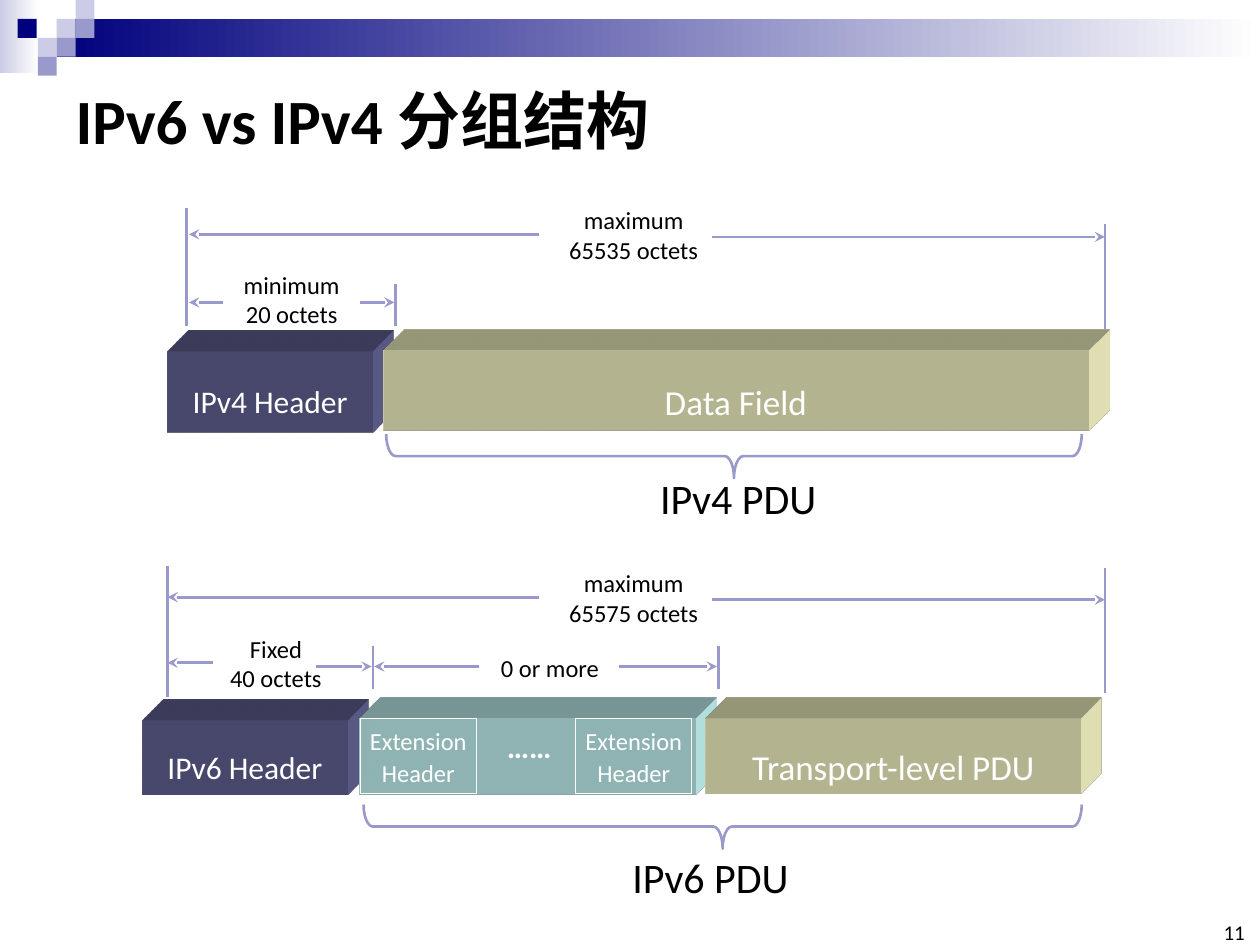
from lxml.etree import SubElement
from pptx import Presentation
from pptx.dml.color import RGBColor
from pptx.enum.shapes import MSO_CONNECTOR as Connector, MSO_SHAPE as Shape
from pptx.enum.text import MSO_ANCHOR as Anchor, MSO_AUTO_SIZE as AutoSize, PP_ALIGN as Align
from pptx.oxml import parse_xml
from pptx.oxml.ns import nsdecls, qn
from pptx.util import Inches, Pt

COLUMNS, ROWS = 100, 75
INK, WHITE, NAVY, MIST, LILAC = "000000", "FFFFFF", "00007D", "CCCCE6", "9999CC"
HEADER, PAYLOAD, EXTENSION = "666699", "FFFFCC", "CCFFFF"


def hex_color(value):
    return RGBColor.from_string(value)


def write(box, text, size=14, color=INK, bold=False, align=Align.CENTER,
          anchor=Anchor.TOP, spacing=None, wrap=False, insets=(0.1, 0.05)):
    """Fill a box with one paragraph per line of text."""
    frame = box.text_frame
    frame.auto_size = AutoSize.NONE
    frame.word_wrap = wrap
    frame.vertical_anchor = anchor
    frame.margin_left = frame.margin_right = Inches(insets[0])
    frame.margin_top = frame.margin_bottom = Inches(insets[1])
    for index, line in enumerate(text.split("\n")):
        para = frame.paragraphs[0] if index == 0 else frame.add_paragraph()
        para.alignment = align
        para.space_before = Pt(0)
        if spacing:
            para.line_spacing = spacing
        span = para.add_run()
        span.text = line
        span.font.name = "Calibri"
        span.font.size = Pt(size)
        span.font.bold = bold
        span.font.color.rgb = hex_color(color)


class Painter:
    """Draws on the current page in grid columns and rows."""

    def __init__(self, deck, line_color=LILAC, line_width=1.5):
        self.page = deck.slides.add_slide(deck.slide_layouts[5])
        self.cell_width = deck.slide_width / COLUMNS
        self.cell_height = deck.slide_height / ROWS
        self.line_color = line_color
        self.line_width = line_width

    def place(self, left, top, width, height):
        return (round(left * self.cell_width), round(top * self.cell_height),
                round(width * self.cell_width), round(height * self.cell_height))

    def title(self, text, *area):
        box = self.page.shapes.title
        box.left, box.top, box.width, box.height = self.place(*area)
        write(box, text, size=36, bold=True, align=Align.LEFT, anchor=Anchor.MIDDLE, wrap=True)

    def shape(self, kind, area, fill=None, line=None, width=0.75):
        box = self.page.shapes.add_shape(kind, *self.place(*area))
        box.shadow.inherit = False
        if fill:
            box.fill.solid()
            box.fill.fore_color.rgb = hex_color(fill)
        else:
            box.fill.background()
        if line:
            box.line.color.rgb = hex_color(line)
            box.line.width = Pt(width)
        else:
            box.line.fill.background()
        return box

    def fade(self, area, start):
        """Rectangle that fades from a colour to white, left to right."""
        fill = self.shape(Shape.RECTANGLE, area).fill
        fill.gradient()
        fill.gradient_angle = 0
        for stop, position, color in zip(fill.gradient_stops, (0, 1), (start, WHITE)):
            stop.position = position
            stop.color.rgb = hex_color(color)

    def block(self, area, fill, text=None, size=18):
        """Rectangle extruded to the upper right."""
        box = self.shape(Shape.RECTANGLE, area, fill)
        properties = box._element.spPr
        properties.append(parse_xml(
            f'<a:scene3d {nsdecls("a")}><a:camera prst="legacyObliqueTopRight"/>'
            '<a:lightRig rig="legacyFlat3" dir="b"/></a:scene3d>'))
        properties.append(parse_xml(
            f'<a:sp3d {nsdecls("a")} extrusionH="430200" prstMaterial="legacyMatte">'
            '<a:bevelT w="13500" h="13500" prst="angle"/><a:bevelB w="13500" h="13500" prst="angle"/>'
            f'<a:extrusionClr><a:srgbClr val="{fill}"/></a:extrusionClr></a:sp3d>'))
        if text:
            write(box, text, size=size, color=WHITE, anchor=Anchor.MIDDLE, spacing=1.5)

    def label(self, text, *area, **style):
        write(self.page.shapes.add_textbox(*self.place(*area)), text, **style)

    def line(self, x1, y1, x2, y2, arrow=False):
        start_x, start_y, end_x, end_y = self.place(x1, y1, x2, y2)
        link = self.page.shapes.add_connector(Connector.STRAIGHT, start_x, start_y, end_x, end_y)
        link.line.color.rgb = hex_color(self.line_color)
        link.line.width = Pt(self.line_width)
        if arrow:
            SubElement(link.line._get_or_add_ln(), qn("a:tailEnd"), type="stealth")
        SubElement(link._element.spPr, qn("a:effectLst"))

    def dimension(self, text, label_area, left_arrow, right_arrow):
        """Label between two outward arrows, each given as start, end and row."""
        self.label(text, *label_area)
        for start, end, row in (left_arrow, right_arrow):
            self.line(start, row, end, row, arrow=True)

    def brace(self, left, top, width, height):
        """Brace that opens upward over the given area."""
        middle_x, middle_y = left + width / 2, top + height / 2
        area = (middle_x - height / 2, middle_y - width / 2, height, width)
        box = self.shape(Shape.RIGHT_BRACE, area, line=self.line_color, width=self.line_width)
        box.rotation = 90
        box.adjustments[0] = 0.21
        box.adjustments[1] = 0.5


def draw_banner(painter):
    painter.fade((0, 0, 3.1, 5.8), MIST)
    painter.fade((4.5, 1.5, 95.5, 3), NAVY)
    squares = [(4.5, 1.5, MIST), (6, 0, MIST), (6, 1.5, LILAC), (3, 3, MIST),
               (1.4, 1.5, NAVY), (4.5, 3, LILAC), (3, 4.5, LILAC)]
    for left, top, color in squares:
        painter.shape(Shape.RECTANGLE, (left, top, 1.5, 1.5), color)


def draw_ipv4(painter):
    for column, top, bottom in ((14.8, 16.5, 25.9), (31.4, 22.5, 25.9), (87.7, 17.8, 26.2)):
        painter.line(column, top, column, bottom)
    painter.dimension("maximum\n65535 octets", (44.1, 15.8, 12.4, 5.7),
                      (42.8, 15, 18.6), (56.5, 87.7, 18.8))
    painter.dimension("minimum\n20 octets", (17.7, 20.9, 10.9, 5.7),
                      (17.7, 15, 24), (28.6, 31.3, 24))
    painter.block((13.3, 27.9, 16.3, 6.4), HEADER, "IPv4 Header")
    painter.block((30.4, 27.8, 56, 6.4), PAYLOAD, "Data Field", size=20)
    painter.brace(30.65, 34.45, 55.2, 3.5)
    painter.label("IPv4 PDU", 51.4, 37, 14.6, 5.1, size=24, align=Align.LEFT)


def draw_ipv6(painter):
    for column, top, bottom in ((13.3, 44.9, 55.3), (29.6, 51.3, 54.7),
                                (57, 51.3, 54.7), (87.7, 45.1, 55)):
        painter.line(column, top, column, bottom)
    painter.dimension("maximum\n65575 octets", (44.1, 44.6, 12.4, 5.7),
                      (42.8, 13.3, 47.4), (56.5, 87.7, 47.6))
    painter.dimension("Fixed\n40 octets", (17.2, 49.8, 9.4, 5.7),
                      (16.9, 13.3, 52.6), (25.1, 29.5, 52.9))
    painter.dimension("0 or more", (37.9, 51.3, 11.5, 3.4),
                      (38, 29.7, 52.9), (49.1, 56.9, 52.9))
    painter.block((11.3, 57.2, 16.3, 5.9), HEADER, "IPv6 Header")
    painter.block((28.5, 57, 26.7, 6.1), EXTENSION)
    tight = dict(color=WHITE, spacing=1.1, wrap=True, insets=(0.04, 0.04))
    for left in (28.6, 45.7):
        box = painter.shape(Shape.RECTANGLE, (left, 57, 9.2, 6), line=WHITE)
        write(box, "Extension\nHeader", **tight)
    painter.label("……", 37.4, 57, 9.2, 4.1, size=18, bold=True, **tight)
    painter.block((56, 57, 29.8, 6), PAYLOAD, "Transport-level PDU", size=20)
    painter.brace(28.85, 63.85, 57, 3.5)
    painter.label("IPv6 PDU", 49.2, 67.1, 14.6, 5.1, size=24, align=Align.LEFT)


def main():
    deck = Presentation()
    deck.slide_width, deck.slide_height = Inches(10), Inches(7.5)
    painter = Painter(deck)
    draw_banner(painter)
    painter.title("IPv6 vs IPv4 分组结构", 5, 5, 90, 8.9)
    draw_ipv4(painter)
    draw_ipv6(painter)
    painter.label("11", 95, 73.3, 3.8, 1.7, size=12, align=Align.RIGHT,
                  anchor=Anchor.BOTTOM, wrap=True, insets=(0, 0))
    deck.save("out.pptx")


if __name__ == "__main__":
    main()
